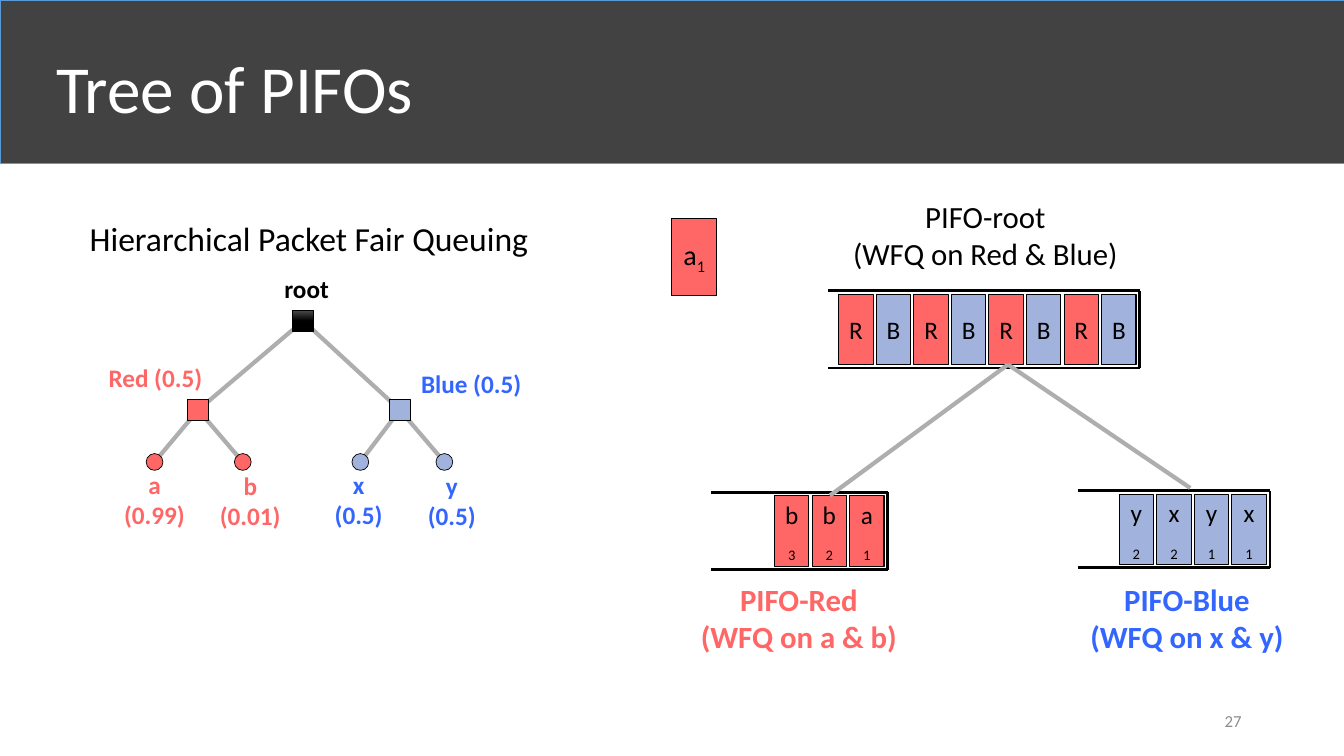
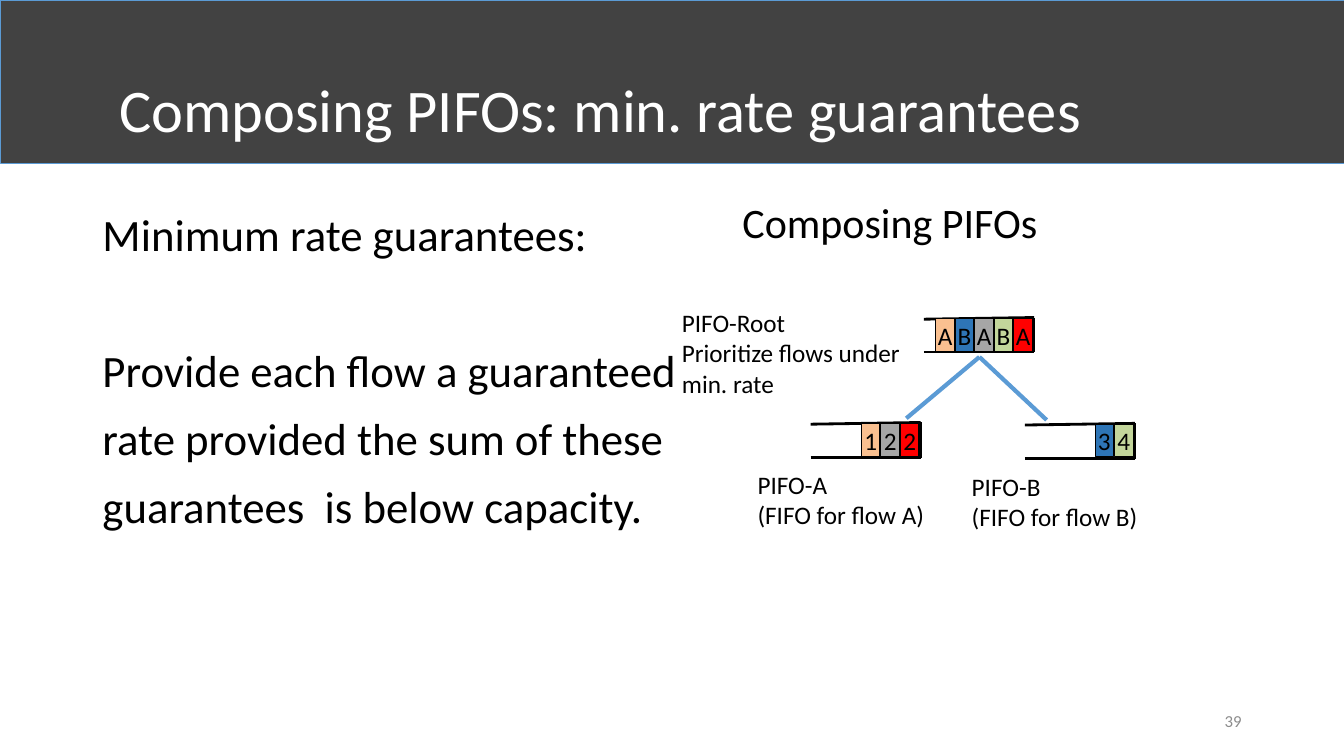
from dataclasses import dataclass

from lxml import etree
from pptx import Presentation
from pptx.dml.color import RGBColor
from pptx.enum.shapes import MSO_CONNECTOR, MSO_SHAPE
from pptx.enum.text import MSO_ANCHOR, MSO_AUTO_SIZE, PP_ALIGN
from pptx.oxml.ns import qn
from pptx.util import Pt

UNIT = Pt(6)  # the slide is a grid of 160 columns and 90 rows
COLUMNS, ROWS = 160, 90
FONT = "Calibri"

BLACK = RGBColor(0x00, 0x00, 0x00)
WHITE = RGBColor(0xFF, 0xFF, 0xFF)
BAND = RGBColor(0x42, 0x42, 0x42)
ACCENT = RGBColor(0x5B, 0x9B, 0xD5)
NUMBER_GREY = RGBColor(0x8C, 0x8C, 0x8C)
EDGE_GREY = RGBColor(0xAE, 0xAE, 0xAE)
ROOT_GREY = RGBColor(0x4B, 0x4B, 0x4B)
RED = RGBColor(0xFF, 0x66, 0x66)
BLUE_TEXT = RGBColor(0x33, 0x66, 0xFF)
BLUE_FILL = RGBColor(0xA1, 0xB2, 0xDD)
PEACH = RGBColor(0xFA, 0xC0, 0x90)
DEEP_BLUE = RGBColor(0x2E, 0x75, 0xB6)
GREY = RGBColor(0xA6, 0xA6, 0xA6)
GREEN = RGBColor(0xC3, 0xD6, 0x9B)
BRIGHT_RED = RGBColor(0xFF, 0x00, 0x00)


@dataclass
class Box:
    """A rectangle in grid units."""
    left: float
    top: float
    width: float
    height: float

    def inner(self, x, y, width, height):
        return Box(self.left + x, self.top + y, width, height)

    def point(self, x, y):
        return self.left + x, self.top + y

    def lengths(self):
        return [round(value * UNIT)
                for value in (self.left, self.top, self.width, self.height)]


@dataclass
class QueueStyle:
    cell_width: float
    cell_height: float
    pitch: float
    right_gap: float
    top_gap: float
    tilt: float  # drop of the upper rail at its open end
    wrap: bool


LARGE_QUEUE = QueueStyle(4.1, 8.4, 4.47, 0.45, 0.45, 0, True)
SMALL_QUEUE = QueueStyle(2.2, 3.85, 2.32, 0.2, 0.15, 0.2, False)


def place(shape, box):
    shape.left, shape.top, shape.width, shape.height = box.lengths()


def format_paragraph(paragraph, size, color, bold=False, align=PP_ALIGN.LEFT):
    paragraph.alignment = align
    font = paragraph.font
    font.name, font.size, font.bold = FONT, Pt(size), bold
    font.color.rgb = color


def add_text(slide, box, lines, size, color=BLACK, bold=False,
             align=PP_ALIGN.LEFT, anchor=MSO_ANCHOR.TOP):
    frame = slide.shapes.add_textbox(*box.lengths()).text_frame
    frame.word_wrap = True
    frame.vertical_anchor = anchor
    frame.text = "\n".join(lines)
    for paragraph in frame.paragraphs:
        format_paragraph(paragraph, size, color, bold, align)


def add_shape(slide, kind, box, fill, line=BLACK, line_width=0.75):
    shape = slide.shapes.add_shape(kind, *box.lengths())
    shape.shadow.inherit = False
    shape.fill.solid()
    shape.fill.fore_color.rgb = fill
    shape.line.color.rgb = line
    shape.line.width = Pt(line_width)
    return shape


def add_line(slide, start, end, color=BLACK, width=2):
    ends = [round(value * UNIT) for value in (*start, *end)]
    line = slide.shapes.add_connector(MSO_CONNECTOR.STRAIGHT, *ends)
    line.line.color.rgb = color
    line.line.width = Pt(width)
    etree.SubElement(line._element.spPr, qn("a:effectLst"))


def add_cell(slide, box, label, fill, size=18, wrap=True):
    """A packet; everything after the first letter of its label is subscript."""
    cell = add_shape(slide, MSO_SHAPE.RECTANGLE, box, fill)
    frame = cell.text_frame
    frame.word_wrap = wrap
    frame.vertical_anchor = MSO_ANCHOR.MIDDLE
    paragraph = frame.paragraphs[0]
    format_paragraph(paragraph, size, BLACK, align=PP_ALIGN.CENTER)
    paragraph.add_run().text = label[0]
    if label[1:]:
        subscript = paragraph.add_run()
        subscript.text = label[1:]
        subscript._r.get_or_add_rPr().set("baseline", "-25000")


def add_queue(slide, box, style, cells):
    """A queue open on the left, its cells packed against the right end."""
    upper_right = box.point(box.width, 0)
    lower_right = box.point(box.width, box.height)
    add_line(slide, box.point(0, style.tilt), upper_right)
    add_line(slide, box.point(0, box.height), lower_right)
    add_line(slide, lower_right, upper_right)
    first = (box.width - style.right_gap - style.cell_width
             - (len(cells) - 1) * style.pitch)
    for index, (label, fill) in enumerate(cells):
        cell_box = box.inner(first + index * style.pitch, style.top_gap,
                             style.cell_width, style.cell_height)
        add_cell(slide, cell_box, label, fill, wrap=style.wrap)


def add_fork(slide, box, start, ends, color):
    for end in ends:
        add_line(slide, box.point(*start), box.point(*end), color, 3)


def add_flow_tree(slide, box):
    # name: (x, y, parent, fill, label colour, label lines, label offset)
    nodes = {
        "root": (26.6, 12.8, None, BLACK, BLACK, ["root"], (0.4, -6.2)),
        "red": (14.1, 23.4, "root", RED, RED, ["Red (0.5)"], (-5.1, -6.3)),
        "blue": (38.1, 23.4, "root", BLUE_FILL, BLUE_TEXT, ["Blue (0.5)"],
                 (8.5, -5.6)),
        "a": (8.9, 29.6, "red", RED, RED, ["a", "(0.99)"], (0, 0.3)),
        "b": (19.4, 29.6, "red", RED, RED, ["b", "(0.01)"], (0.9, 0.4)),
        "x": (33.4, 29.6, "blue", BLUE_FILL, BLUE_TEXT, ["x", "(0.5)"],
              (-0.2, 0.3)),
        "y": (43.4, 29.6, "blue", BLUE_FILL, BLUE_TEXT, ["y", "(0.5)"],
              (0.9, 0.4)),
    }
    label_width = 16
    add_text(slide, box.inner(0, 0, box.width, 6),
             ["Hierarchical Packet Fair Queuing"], 24)
    for x, y, parent, *_ in nodes.values():
        if parent:
            add_fork(slide, box, nodes[parent][:2], [(x, y)], EDGE_GREY)
    for name, (x, y, _, fill, color, lines, (dx, dy)) in nodes.items():
        is_leaf = len(name) == 1
        kind = MSO_SHAPE.OVAL if is_leaf else MSO_SHAPE.RECTANGLE
        size = 2 if is_leaf else 2.5
        node = add_shape(slide, kind,
                         box.inner(x - size / 2, y - size / 2, size, size),
                         fill, line_width=0.5)
        if name == "root":
            shade_root(node)
        label_box = box.inner(x + dx - label_width / 2, y + dy,
                              label_width, 4.8 * len(lines))
        add_text(slide, label_box, lines, 18, color, True, PP_ALIGN.CENTER)


def shade_root(node):
    node.fill.gradient()
    node.fill.gradient_angle = 270
    upper, lower = node.fill.gradient_stops
    upper.color.rgb, upper.position = ROOT_GREY, 0
    lower.color.rgb, lower.position = BLACK, 0.5


def add_wfq_queues(slide, box):
    add_cell(slide, box.inner(3, 3.1, 5.3, 9.2), "a1", RED, 20)
    queues = [
        ((21.6, 11.7, 37.1, 9.2), [("R", RED), ("B", BLUE_FILL)] * 4),
        ((7.7, 35.7, 21, 9.2), [(label, RED) for label in ("b3", "b2", "a1")]),
        ((51.3, 35.5, 22.9, 9.2),
         [(label, BLUE_FILL) for label in ("y2", "x2", "y1", "x1")]),
    ]
    for area, cells in queues:
        add_queue(slide, box.inner(*area), LARGE_QUEUE, cells)
    add_fork(slide, box, (43, 20.5), [(64.7, 35.2), (21.8, 36.1)], EDGE_GREY)
    captions = [
        (22.3, 0, ["PIFO-root", "(WFQ on Red & Blue)"], BLACK, False),
        (0.1, 45.6, ["PIFO-Red", "(WFQ on a & b)"], RED, True),
        (46.3, 45.6, ["PIFO-Blue", "(WFQ on x & y)"], BLUE_TEXT, True),
    ]
    for x, y, lines, color, bold in captions:
        add_text(slide, box.inner(x, y, 36, 10), lines, 22, color, bold,
                 PP_ALIGN.CENTER)


def add_rate_queues(slide, box):
    add_text(slide, box.inner(7.2, 0, 44, 7.3), ["Composing PIFOs"], 30)
    queues = [
        (30, 15, 4.1, [("A", PEACH), ("B", DEEP_BLUE), ("A", GREY),
                       ("B", GREEN), ("A", BRIGHT_RED)]),
        (16.5, 27.5, 4.2, [("1", PEACH), ("2", GREY), ("2", BRIGHT_RED)]),
        (42, 27.6, 4.2, [("3", DEEP_BLUE), ("4", GREEN)]),
    ]
    for x, y, height, cells in queues:
        add_queue(slide, box.inner(x, y, 13.1, height), SMALL_QUEUE, cells)
    add_fork(slide, box, (36.6, 19.7), [(27.9, 27), (44.6, 27.2)], ACCENT)
    captions = [
        (0, 13.2, ["PIFO-Root", "Prioritize flows under", "min. rate"]),
        (9, 32.5, ["PIFO-A", "(FIFO for flow A)"]),
        (34.5, 32.7, ["PIFO-B", "(FIFO for flow B)"]),
    ]
    for x, y, lines in captions:
        add_text(slide, box.inner(x, y, 32, 4 * len(lines)), lines, 18)


def fill_body(body, box, statements):
    """Unbulleted statements, the second set one line apart from the first."""
    place(body, box)
    frame = body.text_frame
    frame.auto_size = MSO_AUTO_SIZE.NONE
    frame.text = "\n".join(statements)
    for index, paragraph in enumerate(frame.paragraphs):
        properties = paragraph._p.get_or_add_pPr()
        properties.set("marL", "0")
        properties.set("indent", "0")
        etree.SubElement(properties, qn("a:buNone"))
        paragraph.space_before = Pt(59 if index == 1 else 10)
        format_paragraph(paragraph, 32, BLACK)


def add_slide(presentation, layout_name, title, title_box, title_size, number):
    layout = presentation.slide_layouts.get_by_name(layout_name)
    slide = presentation.slides.add_slide(layout)
    place(slide.shapes.title, title_box)
    frame = slide.shapes.title.text_frame
    frame.text = title
    frame.auto_size = MSO_AUTO_SIZE.NONE
    frame.vertical_anchor = MSO_ANCHOR.MIDDLE
    format_paragraph(frame.paragraphs[0], title_size, WHITE)
    add_text(slide, Box(113, 83.4, 36, 4.8), [number], 12, NUMBER_GREY,
             align=PP_ALIGN.RIGHT, anchor=MSO_ANCHOR.MIDDLE)
    return slide


def move_band_to_master(presentation, slide):
    """Draw the title band once, on the master that all slides share."""
    band = add_shape(slide, MSO_SHAPE.RECTANGLE, Box(0, 0, COLUMNS, 19.4),
                     BAND, ACCENT, 0.5)
    presentation.slide_master.shapes._spTree.insert(2, band._element)


def main():
    presentation = Presentation()
    presentation.slide_width = COLUMNS * UNIT
    presentation.slide_height = ROWS * UNIT

    slide = add_slide(presentation, "Title Only", "Tree of PIFOs",
                      Box(5.5, 1.6, 138, 17.4), 48, "27")
    move_band_to_master(presentation, slide)
    add_flow_tree(slide, Box(9.5, 25.4, 58.6, 38.6))
    add_wfq_queues(slide, Box(77, 22.9, 83, 56))

    slide = add_slide(presentation, "Title and Content",
                      "Composing PIFOs: min. rate guarantees",
                      Box(13, 4.2, 134, 17.4), 43.2, "39")
    fill_body(slide.placeholders[1], Box(11, 24, 138, 57),
              ["Minimum rate guarantees:",
               "Provide each flow a guaranteed",
               "rate provided the sum of these",
               "guarantees  is below capacity."])
    add_rate_queues(slide, Box(80, 22.8, 62, 41))

    presentation.save("out.pptx")


if __name__ == "__main__":
    main()
